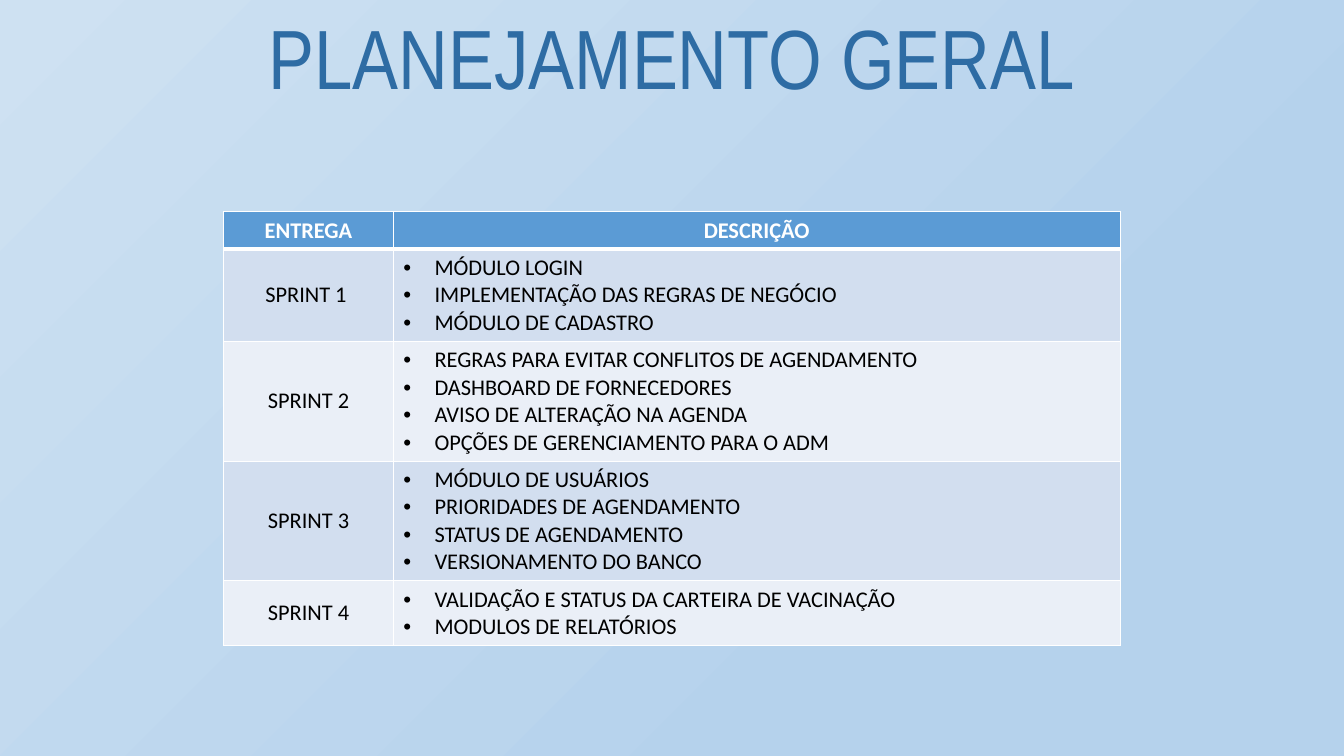
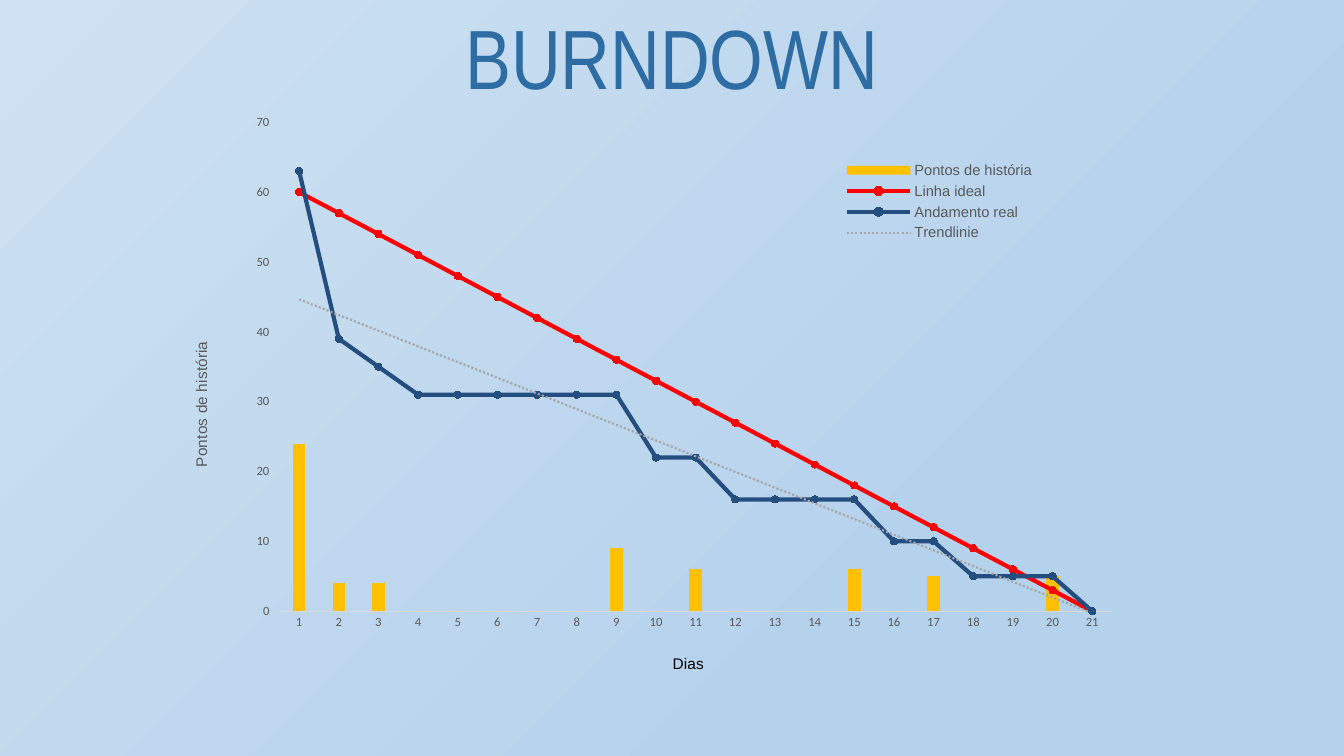
"""Build a sprint plan table slide and a burndown chart slide."""
import pptx
import pptx.chart.data
import pptx.dml.color
import pptx.enum.chart
import pptx.enum.dml
import pptx.enum.text
import pptx.oxml
import pptx.oxml.ns
import pptx.util

Inches = pptx.util.Inches
Pt = pptx.util.Pt
CENTER = pptx.enum.text.PP_ALIGN.CENTER
MIDDLE = pptx.enum.text.MSO_ANCHOR.MIDDLE
WHITE, BLACK, GRAY = "FFFFFF", "000000", "595959"
NS_A = pptx.oxml.ns.nsdecls("a")
NS_C = pptx.oxml.ns.nsdecls("c")


def rgb(color):
    return pptx.dml.color.RGBColor.from_string(color)


def write(p, text, font="Calibri", size=16, color=BLACK, bold=False, align=None):
    p.alignment = align
    r = p.add_run()
    r.text = text
    r.font.name = font
    r.font.size = Pt(size)
    r.font.bold = bold
    r.font.color.rgb = rgb(color)


prs = pptx.Presentation()
prs.slide_width = Inches(13.33)
prs.slide_height = Inches(7.5)

fill = prs.slide_master.background.fill
fill.gradient()
for stop, (position, color) in zip(fill.gradient_stops, [(0.28, "B5D2EC"), (1, "CEE1F2")]):
    stop.position = position
    stop.color.rgb = rgb(color)
grad = prs.slide_master.element.xpath("./p:cSld/p:bg//a:gradFill")[0]
for old in grad.xpath("./a:lin | ./a:tileRect"):
    grad.remove(old)
grad.append(pptx.oxml.parse_xml(
    f'<a:path {NS_A} path="circle"><a:fillToRect l="100000" t="100000"/></a:path>'))
grad.append(pptx.oxml.parse_xml(f'<a:tileRect {NS_A} r="-100000" b="-100000"/>'))

slides = []
for title in ["PLANEJAMENTO GERAL", "BURNDOWN"]:
    s = prs.slides.add_slide(prs.slide_layouts[5])
    sp = s.shapes.title
    sp.left, sp.top, sp.width, sp.height = 0, 0, prs.slide_width, Inches(1.11)
    tf = sp.text_frame
    tf.auto_size = pptx.enum.text.MSO_AUTO_SIZE.NONE
    tf.vertical_anchor = MIDDLE
    write(tf.paragraphs[0], title, font="Arial Narrow", size=60, color="2E6CA4", align=CENTER)
    slides.append(s)
plan, burndown = slides

sprints = [
    ("ENTREGA", ["DESCRIÇÃO"]),
    ("SPRINT 1 ", ["MÓDULO LOGIN", "IMPLEMENTAÇÃO DAS REGRAS DE NEGÓCIO", "MÓDULO DE CADASTRO"]),
    ("SPRINT 2", ["REGRAS PARA EVITAR CONFLITOS DE AGENDAMENTO", "DASHBOARD DE FORNECEDORES",
                  "AVISO DE ALTERAÇÃO NA AGENDA", "OPÇÕES DE GERENCIAMENTO PARA O ADM"]),
    ("SPRINT 3", ["MÓDULO DE USUÁRIOS", "PRIORIDADES DE AGENDAMENTO",
                  "STATUS DE AGENDAMENTO", "VERSIONAMENTO DO BANCO"]),
    ("SPRINT 4", ["VALIDAÇÃO E STATUS DA CARTEIRA DE VACINAÇÃO", "MODULOS DE RELATÓRIOS"]),
]
table = plan.shapes.add_table(
    len(sprints), 2, Inches(2.22), Inches(2.1), Inches(8.89), Inches(4.23)).table
table.columns[0].width = Inches(1.68)
table.columns[1].width = Inches(7.21)
for i, (sprint, items) in enumerate(sprints):
    header = i == 0
    table.rows[i].height = Inches(0.11 + 0.26 * len(items))
    for j, lines in enumerate([[sprint], items]):
        cell = table.cell(i, j)
        cell.vertical_anchor = MIDDLE
        tf = cell.text_frame
        for k, line in enumerate(lines):
            p = tf.add_paragraph() if k else tf.paragraphs[0]
            if header:
                write(p, line, color=WHITE, bold=True, align=CENTER)
            elif j == 0:
                write(p, line, align=CENTER)
            else:
                write(p, line)
                pPr = p._p.get_or_add_pPr()
                pPr.set("marL", str(Inches(0.31)))
                pPr.set("indent", str(-Inches(0.31)))
                pPr.append(pptx.oxml.parse_xml(f'<a:buFont {NS_A} typeface="Arial"/>'))
                pPr.append(pptx.oxml.parse_xml(f'<a:buChar {NS_A} char="•"/>'))
        tcPr = cell._tc.get_or_add_tcPr()
        for side in "LRTB":
            thick = (i, side) in [(0, "B"), (1, "T")]
            tcPr.append(pptx.oxml.parse_xml(
                f'<a:ln{side} {NS_A} w="{Pt(3 if thick else 1)}"><a:solidFill>'
                f'<a:srgbClr val="{WHITE}"/></a:solidFill></a:ln{side}>'))
        cell.fill.solid()
        cell.fill.fore_color.rgb = rgb("5B9BD5" if header else ["EAEFF7", "D2DEEF"][i % 2])

data = pptx.chart.data.CategoryChartData()
data.categories = [str(day) for day in range(1, 22)]
data.add_series("Pontos de história",
                [24, 4, 4, 0, 0, 0, 0, 0, 9, 0, 6, 0, 0, 0, 6, 0, 5, 0, 0, 5, 0])
data.add_series("Linha ideal", list(range(60, -1, -3)))
data.add_series("Andamento real", [63, 39, 35, 31, 31, 31, 31, 31, 31, 22, 22,
                                   16, 16, 16, 16, 10, 10, 5, 5, 5, 0])
chart = burndown.shapes.add_chart(
    pptx.enum.chart.XL_CHART_TYPE.COLUMN_CLUSTERED,
    Inches(1.48), Inches(1.01), Inches(9.56), Inches(6.18), data).chart
chart.has_title = False
chart.font.name = "Calibri"
chart.font.size = Pt(10)
chart.font.color.rgb = rgb(BLACK)

bar = chart.element.xpath(".//c:barChart")[0]
line_chart = pptx.oxml.parse_xml(
    f'<c:lineChart {NS_C}><c:grouping val="standard"/><c:varyColors val="0"/>'
    '<c:marker val="1"/></c:lineChart>')
bar.addnext(line_chart)
for ser in bar.xpath("./c:ser")[1:]:
    for old in ser.xpath("./c:invertIfNegative"):
        ser.remove(old)
    line_chart.xpath("./c:marker")[0].addprevious(ser)
for ax in bar.xpath("./c:axId"):
    line_chart.append(pptx.oxml.parse_xml(f'<c:axId {NS_C} val="{ax.get("val")}"/>'))
ser.xpath("./c:cat")[0].addprevious(pptx.oxml.parse_xml(
    f'<c:trendline {NS_C} {NS_A}><c:name>Trendlinie</c:name><c:spPr><a:ln w="{Pt(1.5)}">'
    '<a:solidFill><a:srgbClr val="A5A5A5"/></a:solidFill><a:prstDash val="sysDot"/></a:ln></c:spPr>'
    '<c:trendlineType val="linear"/><c:dispRSqr val="0"/><c:dispEq val="0"/></c:trendline>'))

columns, lines = chart.plots
columns.gap_width = 219
columns.vary_by_categories = False
points = columns.series[0].format.fill
points.solid()
points.fore_color.rgb = rgb("FFC000")
for series, color, dot in zip(lines.series, ["FF0000", "244D80"], ["C00000", "A5A5A5"]):
    series.smooth = False
    series.format.line.color.rgb = rgb(color)
    series.format.line.width = Pt(3)
    series.marker.style = pptx.enum.chart.XL_MARKER_STYLE.CIRCLE
    series.marker.size = 5
    series.marker.format.fill.solid()
    series.marker.format.fill.fore_color.rgb = rgb(dot)

days, story_points = chart.category_axis, chart.value_axis
for axis, title, color, tick in [(days, "Dias", BLACK, "NONE"),
                                 (story_points, "Pontos de história", GRAY, "OUTSIDE")]:
    axis.has_major_gridlines = False
    axis.major_tick_mark = pptx.enum.chart.XL_TICK_MARK[tick]
    axis.minor_tick_mark = pptx.enum.chart.XL_TICK_MARK.NONE
    axis.tick_labels.font.name = "Calibri"
    axis.tick_labels.font.size = Pt(9)
    axis.tick_labels.font.color.rgb = rgb(GRAY)
    write(axis.axis_title.text_frame.paragraphs[0], title, font="Arial", size=11, color=color)
days.format.line.color.rgb = rgb("D9D9D9")
days.format.line.width = Pt(0.75)
story_points.format.line.fill.background()
story_points.minimum_scale = 0
chart.element.xpath(".//c:valAx/c:title//a:bodyPr")[0].set("rot", "-5400000")

chart.has_legend = True
legend = chart.legend
legend.position = pptx.enum.chart.XL_LEGEND_POSITION.RIGHT
legend.include_in_layout = False
legend.font.name = "Arial"
legend.font.size = Pt(10.5)
legend.font.color.rgb = rgb(GRAY)

layouts = [
    ("c:plotArea", 0, {"x": 0.135, "y": 0.033, "w": 0.864, "h": 0.785}),
    ("c:catAx/c:title", 1, {"x": 0.54, "y": 0.88}),
    ("c:valAx/c:title", 1, {"x": 0.04, "y": 0.38}),
    ("c:legend", 1, {"x": 0.7, "y": 0.09, "w": 0.24, "h": 0.14}),
]
for target, index, box in layouts:
    parent = chart.element.xpath(f".//{target}")[0]
    for old in parent.xpath("./c:layout"):
        parent.remove(old)
    inner = '<c:layoutTarget val="inner"/>' if target == "c:plotArea" else ""
    modes = "".join(f'<c:{key}Mode val="edge"/>' for key in box if key in "xy")
    sizes = "".join(f'<c:{key} val="{value}"/>' for key, value in box.items())
    parent.insert(index, pptx.oxml.parse_xml(
        f"<c:layout {NS_C}><c:manualLayout>{inner}{modes}{sizes}</c:manualLayout></c:layout>"))

prs.save("out.pptx")
